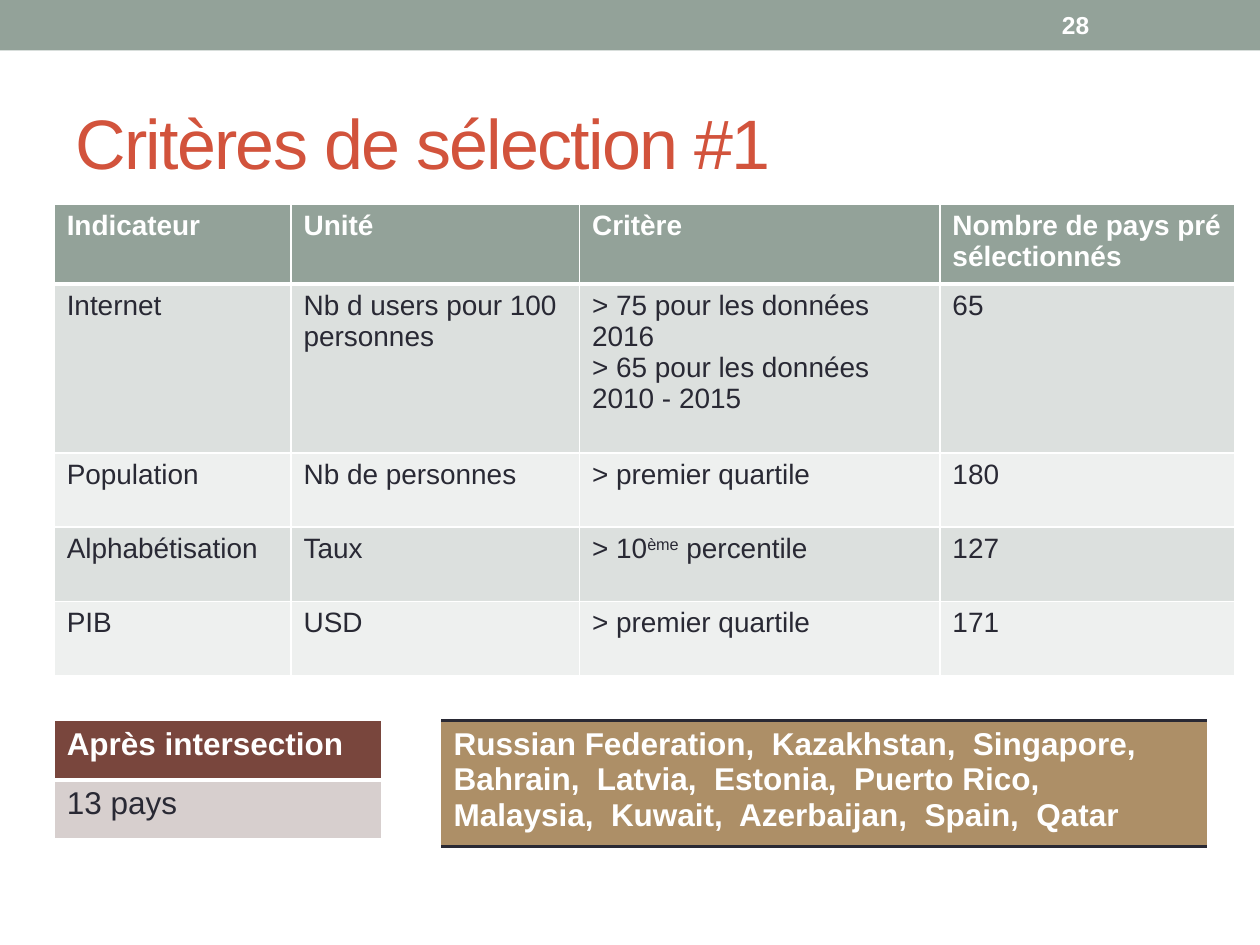
from pptx import Presentation
from pptx.dml.color import RGBColor
from pptx.enum.shapes import MSO_SHAPE as Shape
from pptx.enum.text import MSO_ANCHOR as Anchor
from pptx.oxml.ns import qn
from pptx.util import Inches, Pt
from lxml.etree import SubElement, Element

COLORS = {
    "sage": "93A299", "sage_mid": "DCE0DE", "sage_light": "EEF0EF",
    "brick": "D2533C", "brown": "79463D", "brown_light": "D7CFCE",
    "tan": "AD8F67", "ink": "292934", "white": "FFFFFF",
}
UNIT = 0.1  # inches per grid column and grid row
COLUMNS, ROWS = 100, 75
SIDES = {"left": "a:lnL", "right": "a:lnR", "top": "a:lnT", "bottom": "a:lnB"}

CRITERIA = [
    ["Indicateur", "Unité", "Critère", "Nombre de pays pré sélectionnés"],
    ["Internet", "Nb d users pour 100 personnes",
     "> 75 pour les données 2016\n> 65 pour les données 2010 - 2015", "65"],
    ["Population", "Nb de personnes", "> premier quartile", "180"],
    ["Alphabétisation", "Taux", "> 10^ème^ percentile", "127"],
    ["PIB", "USD", "> premier quartile", "171"],
]
COUNTRIES = [
    "Russian Federation", "Kazakhstan", "Singapore", "Bahrain", "Latvia",
    "Estonia", "Puerto Rico", "Malaysia", "Kuwait", "Azerbaijan", "Spain",
    "Qatar",
]


def grid(count):
    return Inches(count * UNIT)


def rgb(name):
    return RGBColor.from_string(COLORS[name])


class SlideBuilder:
    def __init__(self, deck, font="Arial"):
        self.font = font
        self.page = deck.slides.add_slide(deck.slide_layouts[6])

    def fill_text(self, frame, text, size, color, bold=False, spacing=None):
        """Fill a frame: newlines part paragraphs, ^ marks enclose superscript."""
        for index, line in enumerate(text.split("\n")):
            para = frame.add_paragraph() if index else frame.paragraphs[0]
            for place, part in enumerate(line.split("^")):
                span = para.add_run()
                span.text = part
                style = {"name": self.font, "size": Pt(size), "bold": bold}
                for name, value in style.items():
                    setattr(span.font, name, value)
                span.font.color.rgb = rgb(color)
                props = span._r.get_or_add_rPr()
                if place % 2:
                    props.set("baseline", "30000")
                if spacing is not None:
                    props.set("spc", str(spacing * 100))

    def band(self, left, top, width, height, color):
        box = self.page.shapes.add_shape(
            Shape.RECTANGLE, *map(grid, (left, top, width, height)))
        box.shadow.inherit = False
        box.fill.solid()
        box.fill.fore_color.rgb = rgb(color)
        box.line.fill.background()

    def text(self, left, top, width, height, text, **style):
        box = self.page.shapes.add_textbox(
            *map(grid, (left, top, width, height)))
        box.text_frame.word_wrap = True
        box.text_frame.vertical_anchor = Anchor.MIDDLE
        self.fill_text(box.text_frame, text, **style)

    def borders(self, cell, lines):
        """Draw the given sides as (color, points) and hide the others."""
        props = cell._tc.get_or_add_tcPr()
        for index, (side, tag) in enumerate(SIDES.items()):
            line = Element(qn(tag))
            if side in lines:
                color, points = lines[side]
                line.set("w", str(Pt(points)))
                fill = SubElement(line, qn("a:solidFill"))
                SubElement(fill, qn("a:srgbClr")).set("val", COLORS[color])
            else:
                SubElement(line, qn("a:noFill"))
            props.insert(index, line)

    def table(self, left, top, widths, heights, texts, fills, size, lines=None):
        """Add a table with a bold white first row; fills holds one color a row."""
        frame = self.page.shapes.add_table(
            len(heights), len(widths), grid(left), grid(top),
            grid(sum(widths)), grid(sum(heights)))
        table = frame.table
        table.first_row = table.horz_banding = False
        for column, width in zip(table.columns, widths):
            column.width = grid(width)
        for index, (row, height) in enumerate(zip(table.rows, heights)):
            row.height = grid(height)
            header = index == 0
            rules = lines or {
                "left": ("white", 1), "right": ("white", 1),
                "top": ("white", 3 if index == 1 else 1),
                "bottom": ("white", 3 if header else 1),
            }
            for cell, text in zip(row.cells, texts[index]):
                cell.fill.solid()
                cell.fill.fore_color.rgb = rgb(fills[index])
                self.borders(cell, rules)
                self.fill_text(cell.text_frame, text, size,
                               "white" if header else "ink", bold=header)


def main():
    deck = Presentation()
    deck.slide_width, deck.slide_height = grid(COLUMNS), grid(ROWS)
    slide = SlideBuilder(deck)

    slide.band(0, 0, COLUMNS, 4, "sage")
    slide.text(5, 5.8, 90, 10.8, "Critères de sélection #1",
               size=40, color="brick", spacing=-1)
    slide.table(4.3, 16.2, [18.8, 22.9, 28.6, 23.4],
                [5.9, 13.4, 5.9, 5.9, 5.9], CRITERIA,
                ["sage"] + ["sage_mid", "sage_light"] * 2, size=16)
    slide.table(4.3, 57.2, [26], [4.7, 4.7],
                [["Après intersection"], ["13 pays"]],
                ["brown", "brown_light"], size=18)
    slide.table(35, 57.2, [60.8], [9.4], [[",  ".join(COUNTRIES)]], ["tan"],
                size=18, lines={"top": ("ink", 2), "bottom": ("ink", 2)})
    slide.text(83.3, 0.2, 11.7, 3.6, "28", size=14, color="white", bold=True)

    deck.save("out.pptx")


if __name__ == "__main__":
    main()
